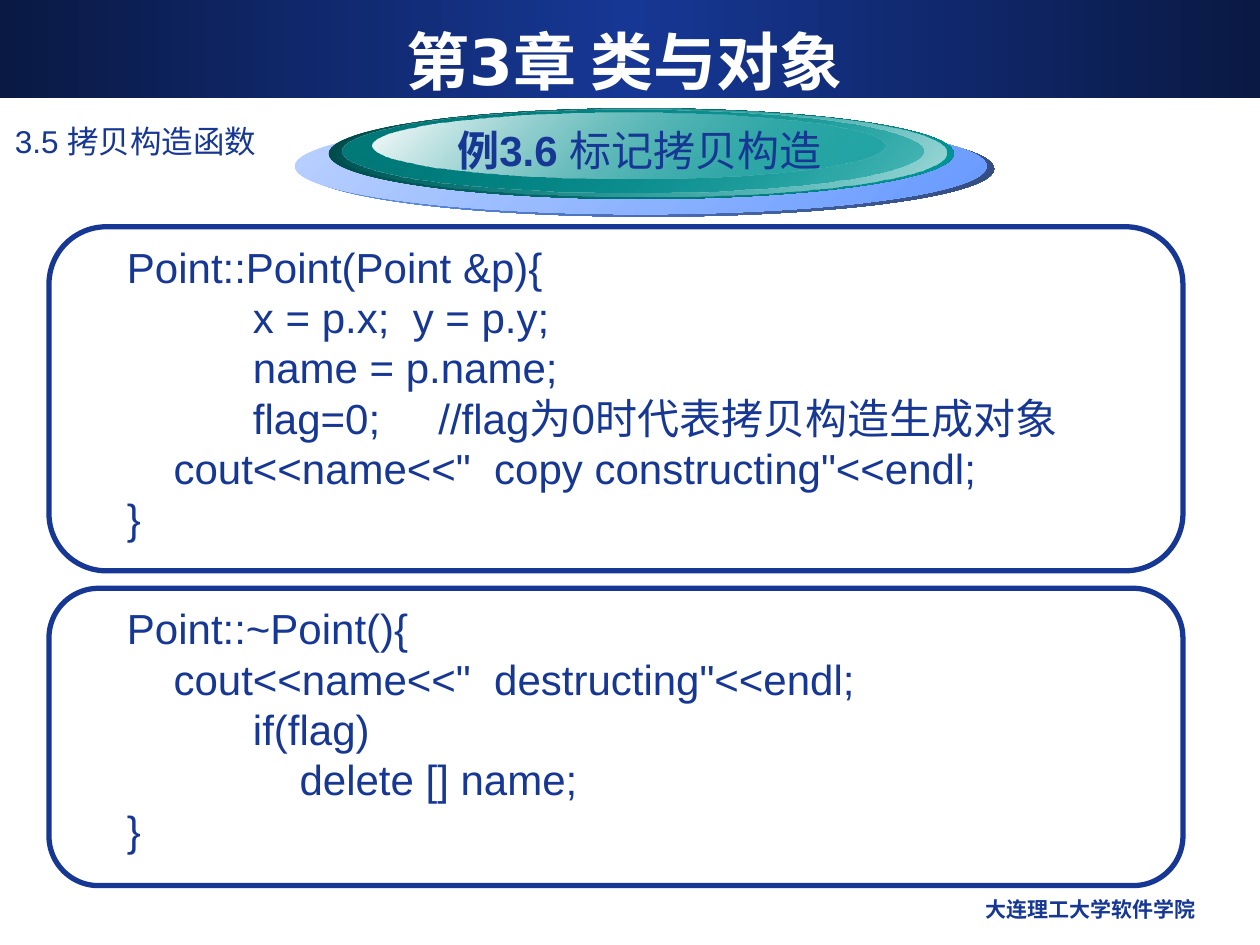
from pptx import Presentation
from pptx.dml.color import RGBColor
from pptx.enum.shapes import MSO_SHAPE
from pptx.enum.text import MSO_ANCHOR, PP_ALIGN
from pptx.oxml import parse_xml
from pptx.oxml.ns import nsdecls
from pptx.util import Pt

NAVY, WHITE = "163794", "FFFFFF"
CODE_SIZE, CODE_PITCH, TAB_STOP = 24, 28.75, 72

TITLE = "第3章 类与对象"
SECTION = "3.5 拷贝构造函数"
SCHOOL = "大连理工大学软件学院"
EXAMPLE = [("例3.6 ", True), ("标记拷贝构造", False)]

BANNER_STOPS = [(0, "0A1944", 100), (50, NAVY, 100), (100, "0A1944", 100)]

# left, top, width, height, gradient stops (position, colour, opacity), back to front
BADGE_RINGS = [
    (172.8, 69.1, 395.3, 54.7, [(0, "6699FF", 100), (100, "324A7C", 100)]),
    (168.5, 67.7, 395.3, 54.7, [(0, "BBD2FF", 100), (100, "6699FF", 100)]),
    (187.9, 61.9, 357.1, 51.8, [(0, "004747", 100), (100, "009999", 100)]),
    (192.2, 61.9, 348.5, 50.4, [(0, "009999", 0), (100, "A6DBDB", 100)]),
    (195.8, 62.6, 331.9, 47.5, [(0, "007979", 100), (100, "009999", 48)]),
    (213.1, 64.1, 292.3, 38.2, [(0, "FFFFFF", 100), (100, "009999", 38)]),
]

# frame top, frame height, code lines
CODE_PANELS = [
    (129.6, 196.6, [
        "Point::Point(Point &p){",
        "\tx = p.x;  y = p.y;",
        "\tname = p.name;",
        "\tflag=0;     //flag为0时代表拷贝构造生成对象",
        "    cout<<name<<\"  copy constructing\"<<endl;",
        "}",
    ]),
    (336.2, 169.9, [
        "Point::~Point(){",
        "    cout<<name<<\"  destructing\"<<endl;",
        "\tif(flag)",
        "\t    delete [] name;",
        "}",
    ]),
]


def rgb(value):
    return RGBColor.from_string(value)


def add_outline(slide, kind, left, top, width, height):
    """Add a preset shape without shadow, fill or line."""
    shape = slide.shapes.add_shape(kind, Pt(left), Pt(top), Pt(width), Pt(height))
    shape.shadow.inherit = False
    shape.fill.background()
    shape.line.fill.background()
    return shape


def set_gradient(shape, stops, angle):
    """Fill with a linear gradient whose stops carry their own opacity."""
    stop_xml = "".join(
        f'<a:gs pos="{position * 1000}"><a:srgbClr val="{color}">'
        f'<a:alpha val="{opacity * 1000}"/></a:srgbClr></a:gs>'
        for position, color, opacity in stops)
    gradient = parse_xml(
        f'<a:gradFill {nsdecls("a")} rotWithShape="1"><a:gsLst>{stop_xml}</a:gsLst>'
        f'<a:lin ang="{angle * 60000}" scaled="0"/></a:gradFill>')
    properties = shape.element.spPr
    properties.replace(properties.find(
        "{http://schemas.openxmlformats.org/drawingml/2006/main}noFill"), gradient)


def add_text(slide, lines, left, top, width, height, *, size, font="Arial", color=NAVY,
             bold=False, align=PP_ALIGN.LEFT, anchor=MSO_ANCHOR.TOP, wrap=True,
             pitch=None, tab=None):
    """Add a text box; a line is a string or a list of (text, bold) runs."""
    box = slide.shapes.add_textbox(Pt(left), Pt(top), Pt(width), Pt(height))
    frame = box.text_frame
    frame.word_wrap = wrap
    frame.vertical_anchor = anchor
    for index, line in enumerate(lines):
        paragraph = frame.paragraphs[0] if index == 0 else frame.add_paragraph()
        paragraph.alignment = align
        if pitch:
            paragraph.line_spacing = Pt(pitch)
        if tab:
            paragraph._p.get_or_add_pPr().append(parse_xml(
                f'<a:tabLst {nsdecls("a")}><a:tab pos="{Pt(tab)}" algn="l"/></a:tabLst>'))
        for text, is_bold in [(line, bold)] if isinstance(line, str) else line:
            run = paragraph.add_run()
            run.text = text
            run.font.name = font
            run.font.size = Pt(size)
            run.font.bold = is_bold
            run.font.color.rgb = rgb(color)


def main():
    deck = Presentation()
    deck.slide_width, deck.slide_height = Pt(720), Pt(540)
    slide = deck.slides.add_slide(deck.slide_layouts[6])

    banner = add_outline(slide, MSO_SHAPE.RECTANGLE, 0, 0, 720, 56)
    set_gradient(banner, BANNER_STOPS, 0)
    add_text(slide, [SCHOOL], 462.2, 509, 228.2, 25, size=12, font="DejaVu Sans",
             bold=True, align=PP_ALIGN.RIGHT)
    add_text(slide, [SECTION], 1.4, 66.2, 666, 23.8, size=18)
    add_text(slide, [TITLE], 23.8, 12.2, 666, 44.6, size=36, font="DejaVu Sans",
             color=WHITE, bold=True, align=PP_ALIGN.CENTER, anchor=MSO_ANCHOR.MIDDLE)

    for *place, stops in BADGE_RINGS:
        set_gradient(add_outline(slide, MSO_SHAPE.OVAL, *place), stops, 45)
    add_text(slide, [EXAMPLE], 254.2, 67.7, 234, 36, size=24, wrap=False)

    for top, height, code in CODE_PANELS:
        frame = add_outline(slide, MSO_SHAPE.ROUNDED_RECTANGLE, 28, top, 648, height)
        frame.line.color.rgb = rgb(NAVY)
        frame.line.width = Pt(3)
        add_text(slide, code, 65.5, top + 4.8, 626.4, len(code) * CODE_PITCH + 7.2,
                 size=CODE_SIZE, pitch=CODE_PITCH, tab=TAB_STOP)

    deck.save("out.pptx")


if __name__ == "__main__":
    main()
